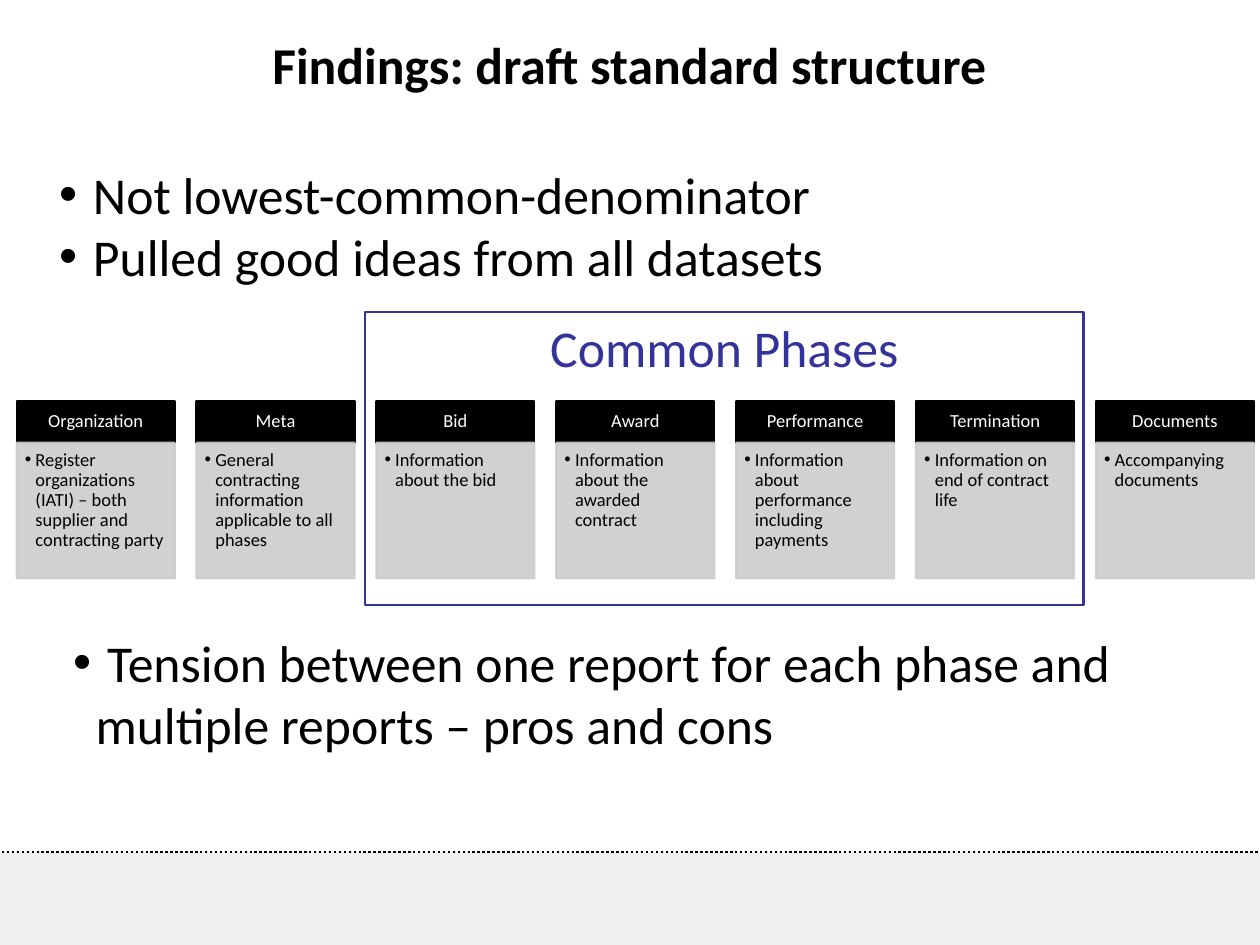
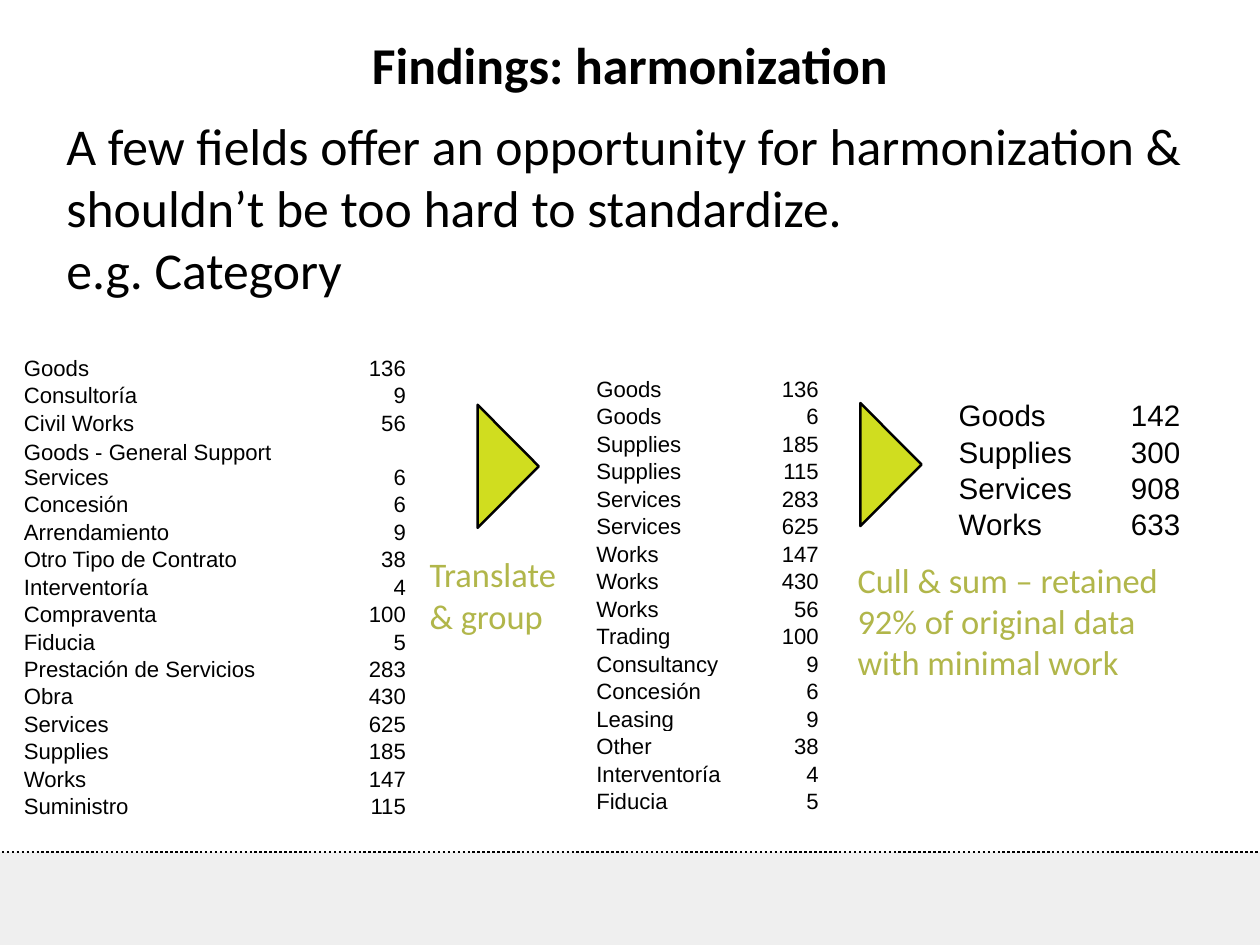
from lxml.etree import SubElement
from pptx import Presentation
from pptx.dml.color import RGBColor
from pptx.enum.dml import MSO_LINE
from pptx.enum.shapes import MSO_SHAPE
from pptx.enum.text import MSO_ANCHOR, MSO_AUTO_SIZE, PP_ALIGN
from pptx.oxml.ns import qn
from pptx.util import Inches, Pt

BLACK = RGBColor(0x00, 0x00, 0x00)
WHITE = RGBColor(0xFF, 0xFF, 0xFF)
FOOTER_GREY = RGBColor(0xE6, 0xE6, 0xE6)
CARD_GREY = RGBColor(0xCC, 0xCC, 0xCC)
INDIGO = RGBColor(0x33, 0x33, 0x99)
LIME = RGBColor(0xD0, 0xDD, 0x1F)
OLIVE = RGBColor(0xB1, 0xB6, 0x4A)

BODY_FONT = "Calibri"
TABLE_FONT = "Arial"
HEADLINE_SIZE = 42
CARD_SIZE = 15
NOTE_SIZE = 28
DEFAULT_INSETS = (0.1, 0.05, 0.1, 0.05)

CARDS = [
    ("Organization", "Register organizations (IATI) – both supplier and contracting party"),
    ("Meta", "General contracting information applicable to all phases"),
    ("Bid", "Information about the bid"),
    ("Award", "Information about the awarded contract"),
    ("Performance", "Information about performance including payments"),
    ("Termination", "Information on end of contract life"),
    ("Documents", "Accompanying documents"),
]
SOURCE_CATEGORIES = [
    ("Goods", 136), ("Consultoría", 9), ("Civil Works", 56),
    ("Goods - General Support Services", 6), ("Concesión", 6),
    ("Arrendamiento", 9), ("Otro Tipo de Contrato", 38),
    ("Interventoría", 4), ("Compraventa", 100), ("Fiducia", 5),
    ("Prestación de Servicios", 283), ("Obra", 430), ("Services", 625),
    ("Supplies", 185), ("Works", 147), ("Suministro", 115),
]
GROUPED_CATEGORIES = [
    ("Goods", 136), ("Goods", 6), ("Supplies", 185), ("Supplies", 115),
    ("Services", 283), ("Services", 625), ("Works", 147), ("Works", 430),
    ("Works", 56), ("Trading", 100), ("Consultancy", 9), ("Concesión", 6),
    ("Leasing", 9), ("Other", 38), ("Interventoría", 4), ("Fiducia", 5),
]
SUMMED_CATEGORIES = [("Goods", 142), ("Supplies", 300), ("Services", 908), ("Works", 633)]


def set_alpha(element, percent):
    for color in element.iter(qn("a:srgbClr")):
        SubElement(color, qn("a:alpha")).set("val", str(percent * 1000))


def set_bullet(paragraph, indent):
    properties = paragraph._p.get_or_add_pPr()
    properties.set("marL", str(Inches(indent)))
    properties.set("indent", str(-Inches(indent)))
    SubElement(properties, qn("a:buFont")).set("typeface", "Arial")
    SubElement(properties, qn("a:buChar")).set("char", "•")


def add_run(paragraph, text, size, color=BLACK, font=BODY_FONT, bold=False):
    run = paragraph.add_run()
    run.text = text
    run.font.name = font
    run.font.size = Pt(size)
    run.font.color.rgb = color
    run.font.bold = bold


def write(shape, lines, size, color=BLACK, align=PP_ALIGN.LEFT, anchor=MSO_ANCHOR.TOP,
          insets=DEFAULT_INSETS, wrap=True, bold=False, bullet=None, spacing=None):
    frame = shape.text_frame
    frame.word_wrap = wrap
    frame.vertical_anchor = anchor
    (frame.margin_left, frame.margin_top,
     frame.margin_right, frame.margin_bottom) = map(Inches, insets)
    for index, line in enumerate(lines):
        paragraph = frame.add_paragraph() if index else frame.paragraphs[0]
        paragraph.alignment = align
        if spacing:
            paragraph.line_spacing = spacing
        if bullet:
            set_bullet(paragraph, bullet)
        add_run(paragraph, line, size, color, bold=bold)


def add_text(slide, box, lines, size=HEADLINE_SIZE, **style):
    shape = slide.shapes.add_textbox(*map(Inches, box))
    write(shape, lines, size, **style)
    shape.text_frame.auto_size = MSO_AUTO_SIZE.SHAPE_TO_FIT_TEXT


def add_box(slide, box, fill, line, kind=MSO_SHAPE.RECTANGLE):
    shape = slide.shapes.add_shape(kind, *map(Inches, box))
    shape.shadow.inherit = False
    shape.fill.solid()
    shape.fill.fore_color.rgb = fill
    shape.line.color.rgb = line
    shape.line.width = Pt(2)
    return shape


def add_base_slide(presentation, title, title_box):
    slide = presentation.slides.add_slide(presentation.slide_layouts[6])
    footer = add_box(slide, (-0.07, 9.62, 14.35, 1.12), FOOTER_GREY, BLACK)
    footer.line.dash_style = MSO_LINE.ROUND_DOT
    set_alpha(footer._element.spPr.find(qn("a:solidFill")), 63)
    add_text(slide, title_box, [title], align=PP_ALIGN.CENTER, anchor=MSO_ANCHOR.MIDDLE,
             insets=(0, 0, 0, 0), wrap=False, bold=True)
    return slide


def add_card(slide, left, top, heading, detail):
    width, head_height, body_height = 1.78, 0.47, 1.53
    head = add_box(slide, (left, top, width, head_height), BLACK, BLACK)
    write(head, [heading], CARD_SIZE, WHITE, PP_ALIGN.CENTER, MSO_ANCHOR.MIDDLE,
          (0.12, 0.07, 0.12, 0.07), spacing=0.9)
    body = add_box(slide, (left, top + head_height, width, body_height), CARD_GREY, CARD_GREY)
    set_alpha(body._element.spPr, 90)
    write(body, [detail], CARD_SIZE, insets=(0.09, 0.09, 0.12, 0.13), bullet=0.12, spacing=0.9)


def add_card_row(slide, left, top, pitch):
    for index, (heading, detail) in enumerate(CARDS):
        add_card(slide, left + index * pitch, top, heading, detail)


def add_category_table(slide, left, top, widths, row_height, size, rows):
    graphic = slide.shapes.add_table(len(rows), 2, Inches(left), Inches(top),
                                     Inches(sum(widths)), Inches(row_height * len(rows)))
    table = graphic.table
    table.first_row = table.horz_banding = False
    for column, width in zip(table.columns, widths):
        column.width = Inches(width)
    for row, values in zip(table.rows, rows):
        row.height = Inches(row_height)
        for cell, value, align in zip(row.cells, values, (PP_ALIGN.LEFT, PP_ALIGN.RIGHT)):
            cell.fill.background()
            cell.vertical_anchor = MSO_ANCHOR.BOTTOM
            cell.margin_left = cell.margin_top = cell.margin_right = Inches(0.01)
            cell.margin_bottom = 0
            paragraph = cell.text_frame.paragraphs[0]
            paragraph.alignment = align
            add_run(paragraph, str(value), size, font=TABLE_FONT)


def add_step_arrow(slide, left, top):
    arrow = add_box(slide, (left, top, 0.69, 1.39), LIME, BLACK, MSO_SHAPE.RIGHT_ARROW)
    arrow.adjustments[0] = 0.68
    arrow.adjustments[1] = 1.45


def build_structure_slide(presentation):
    slide = add_base_slide(presentation, "Findings: draft standard structure",
                           (2.05, 0.32, 10.11, 0.79))
    phases = add_box(slide, (4.12, 3.52, 8.11, 3.31), WHITE, INDIGO)
    write(phases, ["Common Phases"], HEADLINE_SIZE, INDIGO, PP_ALIGN.CENTER)
    add_card_row(slide, 0.19, 4.53, 2.03)
    add_text(slide, (0.57, 1.79, 9.74, 1.51),
             [" Not lowest-common-denominator", " Pulled good ideas from all datasets"],
             wrap=False, bullet=0.25)
    add_text(slide, (0.73, 7.07, 11.97, 1.51),
             [" Tension between one report for each phase and multiple reports – pros and cons"],
             bullet=0.25)


def build_harmonization_slide(presentation):
    slide = add_base_slide(presentation, "Findings: harmonization", (3.48, 0.32, 7.26, 0.79))
    add_text(slide, (0.65, 1.24, 13.15, 2.22),
             ["A few fields offer an opportunity for harmonization & "
              "shouldn’t be too hard to standardize.", "e.g. Category"])
    add_category_table(slide, 0.26, 3.99, (3.8, 0.53), 0.31, 18, SOURCE_CATEGORIES)
    add_category_table(slide, 6.72, 4.23, (1.49, 1.04), 0.31, 18, GROUPED_CATEGORIES)
    add_category_table(slide, 10.81, 4.48, (1.48, 1.04), 0.41, 24, SUMMED_CATEGORIES)
    add_step_arrow(slide, 5.39, 4.57)
    add_text(slide, (4.75, 6.2, 1.86, 1.04), ["Translate & group"], NOTE_SIZE, color=OLIVE)
    add_step_arrow(slide, 9.71, 4.55)
    add_text(slide, (9.58, 6.26, 4.06, 1.51),
             ["Cull & sum – retained 92% of original data", "with minimal work"],
             NOTE_SIZE, color=OLIVE)


def main():
    presentation = Presentation()
    presentation.slide_width = Inches(14.22)
    presentation.slide_height = Inches(10.67)
    build_structure_slide(presentation)
    build_harmonization_slide(presentation)
    presentation.save("out.pptx")


if __name__ == "__main__":
    main()
